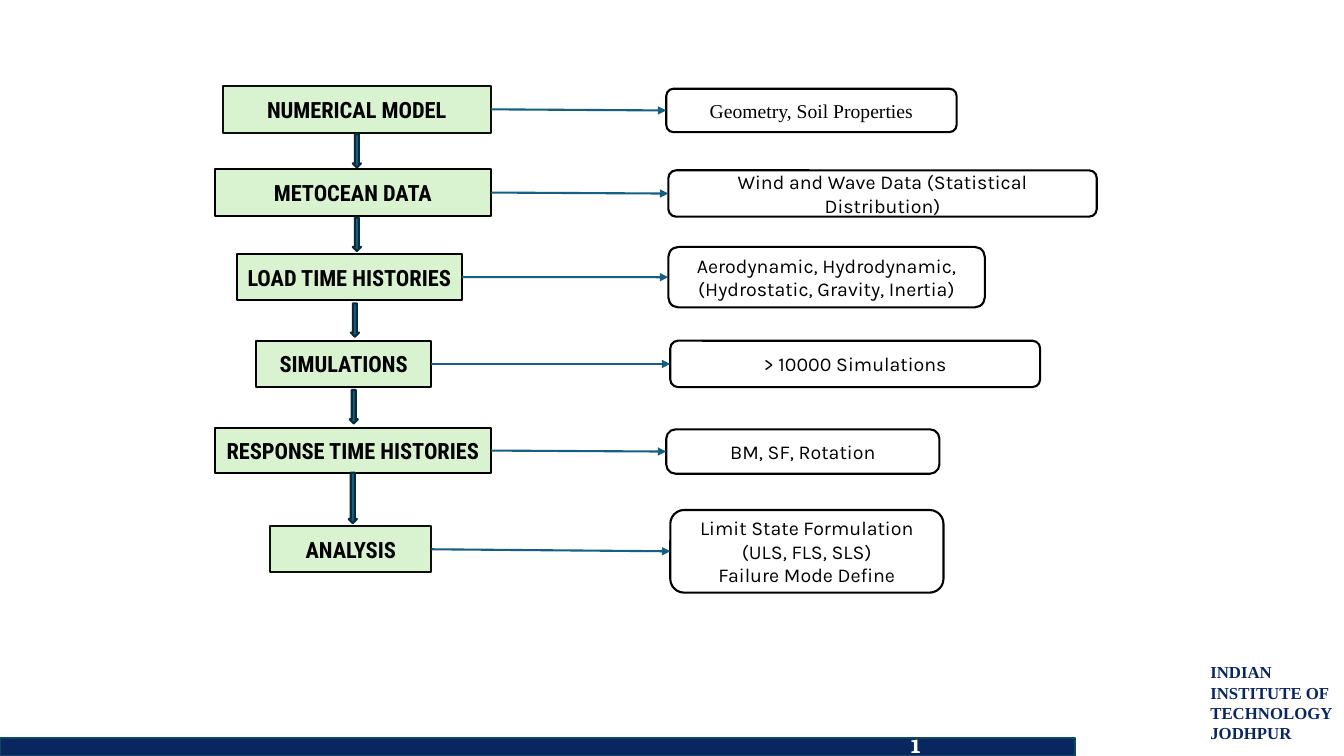
import pptx
import pptx.util
import pptx.dml.color
import pptx.enum.shapes
import pptx.enum.text
from lxml import etree

Pt = pptx.util.Pt
SHAPE = pptx.enum.shapes.MSO_SHAPE
ALIGN = pptx.enum.text.PP_ALIGN
AUTO_SIZE = pptx.enum.text.MSO_AUTO_SIZE

COLORS = {
    "stage": "D9F2D0",
    "ink": "000000",
    "soft_ink": "0D0D0D",
    "paper": "FFFFFF",
    "arrow": "156082",
    "arrow_edge": "092A39",
    "navy": "0A265F",
    "footer_edge": "104760",
}

STAGES = [
    ("NUMERICAL MODEL", (159.1, 61.2, 191.5, 33.8), "soft_ink",
     "Geometry, Soil Properties", (475.9, 63.4, 207.4, 31), "Times New Roman"),
    ("METOCEAN DATA", (153.4, 121, 197.3, 33.1), "ink",
     "Wind and Wave Data (Statistical Distribution)", (477.4, 121.7, 306, 33.1), "Karla"),
    ("LOAD TIME HISTORIES", (169.2, 181.4, 160.6, 33.1), "ink",
     "Aerodynamic, Hydrodynamic, (Hydrostatic, Gravity, Inertia)",
     (477.4, 176.4, 226.1, 43.2), "Karla"),
    ("SIMULATIONS", (182.9, 243.4, 125.3, 33.1), "ink",
     "> 10000 Simulations", (478.8, 243.4, 264.2, 33.1), "Karla"),
    ("RESPONSE TIME HISTORIES", (153.4, 306, 197.3, 31.7), "ink",
     "BM, SF, Rotation", (475.9, 306.7, 195.1, 31.7), "Karla"),
    ("ANALYSIS", (193, 375.8, 115.2, 33.1), "soft_ink",
     "Limit State Formulation (ULS, FLS, SLS)\nFailure Mode Define",
     (478.8, 364.3, 195.1, 59), "Karla"),
]

DOWN_ARROWS = [
    (252, 95.8, 5.8, 23.8),
    (252, 155.5, 5.8, 23.8),
    (250.6, 216.7, 5.8, 23.8),
    (249.8, 278.6, 5.8, 23.8),
    (249.1, 337.7, 5.8, 36),
]


def rgb(name):
    return pptx.dml.color.RGBColor.from_string(COLORS[name])


def write(frame, text, font, size, color, align, bold=False):
    frame.text = text
    for paragraph in frame.paragraphs:
        paragraph.alignment = align
        for run in paragraph.runs:
            run.font.name = font
            run.font.size = Pt(size)
            run.font.bold = bold
            run.font.color.rgb = rgb(color)


def add_block(slide, kind, box, fill, edge):
    block = slide.shapes.add_shape(kind, *map(Pt, box))
    block.shadow.inherit = False
    block.fill.solid()
    block.fill.fore_color.rgb = rgb(fill)
    block.line.color.rgb = rgb(edge)
    block.line.width = Pt(1.5)
    return block


def add_label(slide, kind, box, fill, edge, text, font, size, bold=False):
    label = add_block(slide, kind, box, fill, edge)
    label.text_frame.word_wrap = True
    label.text_frame.vertical_anchor = pptx.enum.text.MSO_ANCHOR.MIDDLE
    write(label.text_frame, text, font, size, "ink", ALIGN.CENTER, bold)
    return label


def link(slide, stage, detail):
    arrow = slide.shapes.add_connector(
        pptx.enum.shapes.MSO_CONNECTOR.STRAIGHT, 0, 0, 0, 0)
    arrow.begin_connect(stage, 3)
    arrow.end_connect(detail, 1)
    arrow.line.color.rgb = rgb("arrow")
    arrow.line.width = Pt(1.5)
    namespace = pptx.oxml.ns.qn
    etree.SubElement(arrow.line._get_or_add_ln(), namespace("a:tailEnd"), type="triangle")
    etree.SubElement(arrow._element.spPr, namespace("a:effectLst"))


def add_stage(slide, title, title_box, edge, detail, detail_box, detail_font):
    stage = add_label(slide, SHAPE.RECTANGLE, title_box, "stage", edge,
                      title, "Roboto Condensed", 16, True)
    notes = add_label(slide, SHAPE.ROUNDED_RECTANGLE, detail_box, "paper", "ink",
                      detail, detail_font, 14)
    if title.startswith("RESPONSE"):
        notes.adjustments[0] = 0.21
    link(slide, stage, notes)


def add_flow(slide):
    for stage in STAGES:
        add_stage(slide, *stage)
    for box in DOWN_ARROWS:
        add_block(slide, SHAPE.DOWN_ARROW, box, "arrow", "arrow_edge")


def add_footer(slide, left, top, width, height):
    add_block(slide, SHAPE.RECTANGLE, (left, top, width, height), "navy", "footer_edge")
    page = slide.shapes.add_textbox(
        Pt(left + 642.2), Pt(top - 6.5), Pt(82.1), Pt(24.5)).text_frame
    page.word_wrap = True
    page.auto_size = AUTO_SIZE.SHAPE_TO_FIT_TEXT
    write(page, "1", "TeX Gyre Bonum", 14, "paper", ALIGN.LEFT, True)


def add_institute(slide, left, top, width, height):
    institute = slide.shapes.add_textbox(
        Pt(left), Pt(top), Pt(width), Pt(height)).text_frame
    institute.word_wrap = False
    institute.auto_size = AUTO_SIZE.SHAPE_TO_FIT_TEXT
    write(institute, "INDIAN\nINSTITUTE OF\nTECHNOLOGY\nJODHPUR",
          "Times New Roman", 12, "navy", ALIGN.JUSTIFY, True)


def main():
    deck = pptx.Presentation()
    deck.slide_width = Pt(960)
    deck.slide_height = Pt(540)
    slide = deck.slides.add_slide(deck.slide_layouts[6])
    add_flow(slide)
    add_footer(slide, 0, 527, 768.2, 13)
    add_institute(slide, 857.5, 469.4, 103, 65.5)
    deck.save("out.pptx")


if __name__ == "__main__":
    main()
